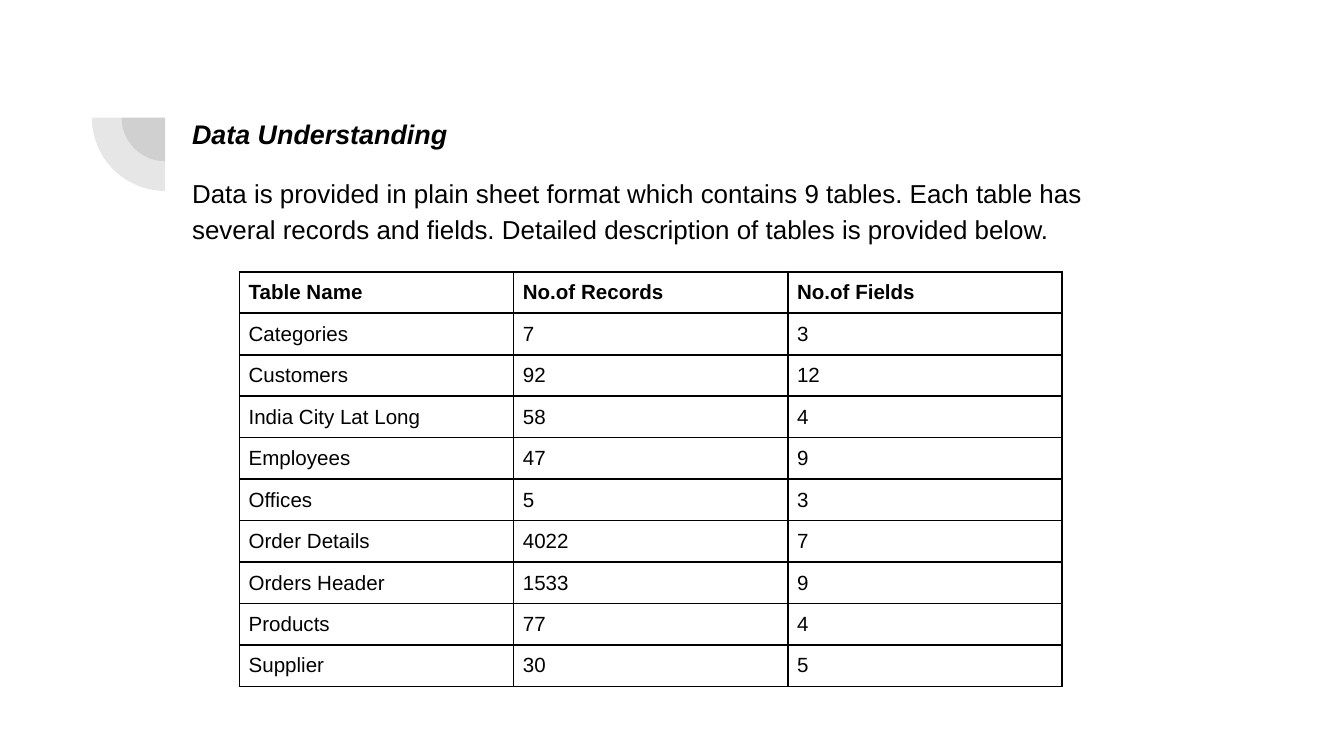
import lxml.etree
import pptx
import pptx.dml.color
import pptx.enum.shapes
import pptx.enum.text
import pptx.oxml.ns
import pptx.util

Pt = pptx.util.Pt
qn = pptx.oxml.ns.qn
BLACK = pptx.dml.color.RGBColor(0x00, 0x00, 0x00)
GRAY = pptx.dml.color.RGBColor(0x42, 0x42, 0x42)

TABLE_ROWS = [
    ("Table Name", "No.of Records", "No.of Fields"),
    ("Categories", "7", "3"),
    ("Customers", "92", "12"),
    ("India City Lat Long", "58", "4"),
    ("Employees", "47", "9"),
    ("Offices", "5", "3"),
    ("Order Details", "4022", "7"),
    ("Orders Header", "1533", "9"),
    ("Products", "77", "4"),
    ("Supplier", "30", "5"),
]


def format_runs(paragraph, size, bold=False, italic=False):
    for run in paragraph.runs:
        run.font.name = "Arial"
        run.font.size = Pt(size)
        run.font.bold = bold
        run.font.italic = italic
        run.font.color.rgb = BLACK


def add_borders(cell):
    properties = cell._tc.get_or_add_tcPr()
    for position, side in enumerate(("a:lnL", "a:lnR", "a:lnT", "a:lnB")):
        line = lxml.etree.Element(qn(side), w=str(Pt(1)))
        fill = lxml.etree.SubElement(line, qn("a:solidFill"))
        lxml.etree.SubElement(fill, qn("a:srgbClr"), val=str(BLACK))
        properties.insert(position, line)


presentation = pptx.Presentation()
presentation.slide_width = Pt(720)
presentation.slide_height = Pt(405)
slide = presentation.slides.add_slide(presentation.slide_layouts[6])

# Concentric translucent quarter circles
center_x, center_y = 88.5, 63
for diameter in (46.8, 78.6):
    quarter = slide.shapes.add_shape(
        pptx.enum.shapes.MSO_SHAPE.PIE,
        Pt(center_x - diameter / 2), Pt(center_y - diameter / 2),
        Pt(diameter), Pt(diameter))
    quarter.adjustments[0] = 108
    quarter.adjustments[1] = 162
    quarter.rotation = 270
    quarter.shadow.inherit = False
    quarter.line.fill.background()
    quarter.fill.solid()
    quarter.fill.fore_color.rgb = GRAY
    color = quarter._element.spPr.find(".//" + qn("a:srgbClr"))
    lxml.etree.SubElement(color, qn("a:alpha"), val="13000")

# Heading and introduction
text_box = slide.shapes.add_textbox(Pt(95.8), Pt(53.5), Pt(505.4), Pt(86.4))
text_frame = text_box.text_frame
text_frame.word_wrap = True
text_frame.vertical_anchor = pptx.enum.text.MSO_ANCHOR.TOP
text_frame.margin_left = text_frame.margin_right = Pt(7.2)
text_frame.margin_top = text_frame.margin_bottom = Pt(7.2)
text_frame.text = "Data Understanding"
heading = text_frame.paragraphs[0]
heading.line_spacing = 1.15
format_runs(heading, 14.4, bold=True, italic=True)
introduction = text_frame.add_paragraph()
introduction.text = (
    "Data is provided in plain sheet format which contains 9 tables. "
    "Each table has several records and fields. "
    "Detailed description of tables is provided below.")
introduction.line_spacing = 1.15
introduction.space_before = Pt(12)
format_runs(introduction, 13.9)

# Table of record and field counts
column_width, row_height = 146.9, 22.25
table = slide.shapes.add_table(
    len(TABLE_ROWS), 3, Pt(128.2), Pt(145.6),
    Pt(3 * column_width), Pt(len(TABLE_ROWS) * row_height)).table
table.first_row = False
table.horz_banding = False
for row_index, values in enumerate(TABLE_ROWS):
    for column_index, value in enumerate(values):
        cell = table.cell(row_index, column_index)
        cell.margin_left = cell.margin_right = cell.margin_top = Pt(5)
        cell.margin_bottom = Pt(4)
        cell.fill.background()
        add_borders(cell)
        cell.text_frame.text = value
        format_runs(cell.text_frame.paragraphs[0], 11, bold=row_index == 0)

presentation.save("out.pptx")
